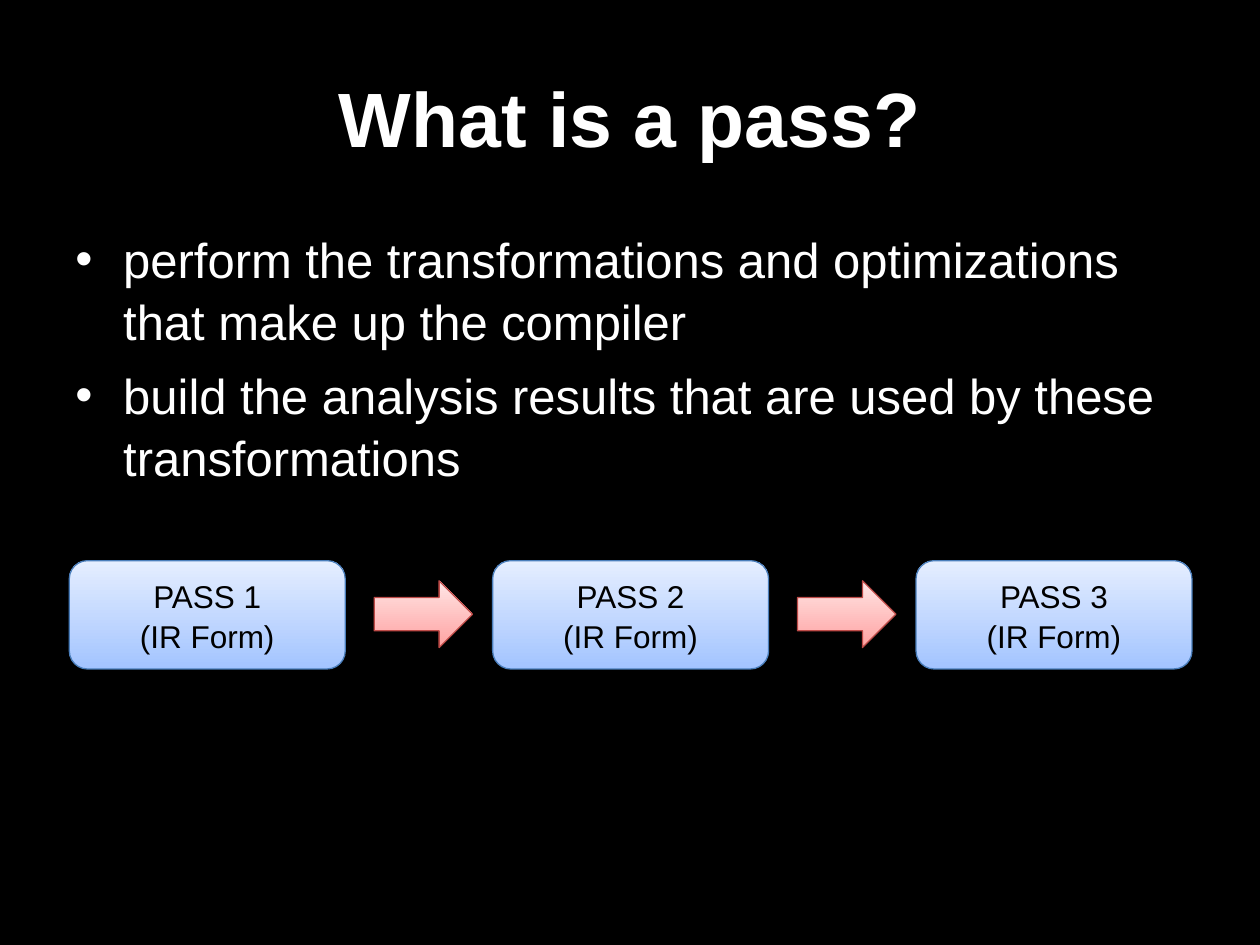
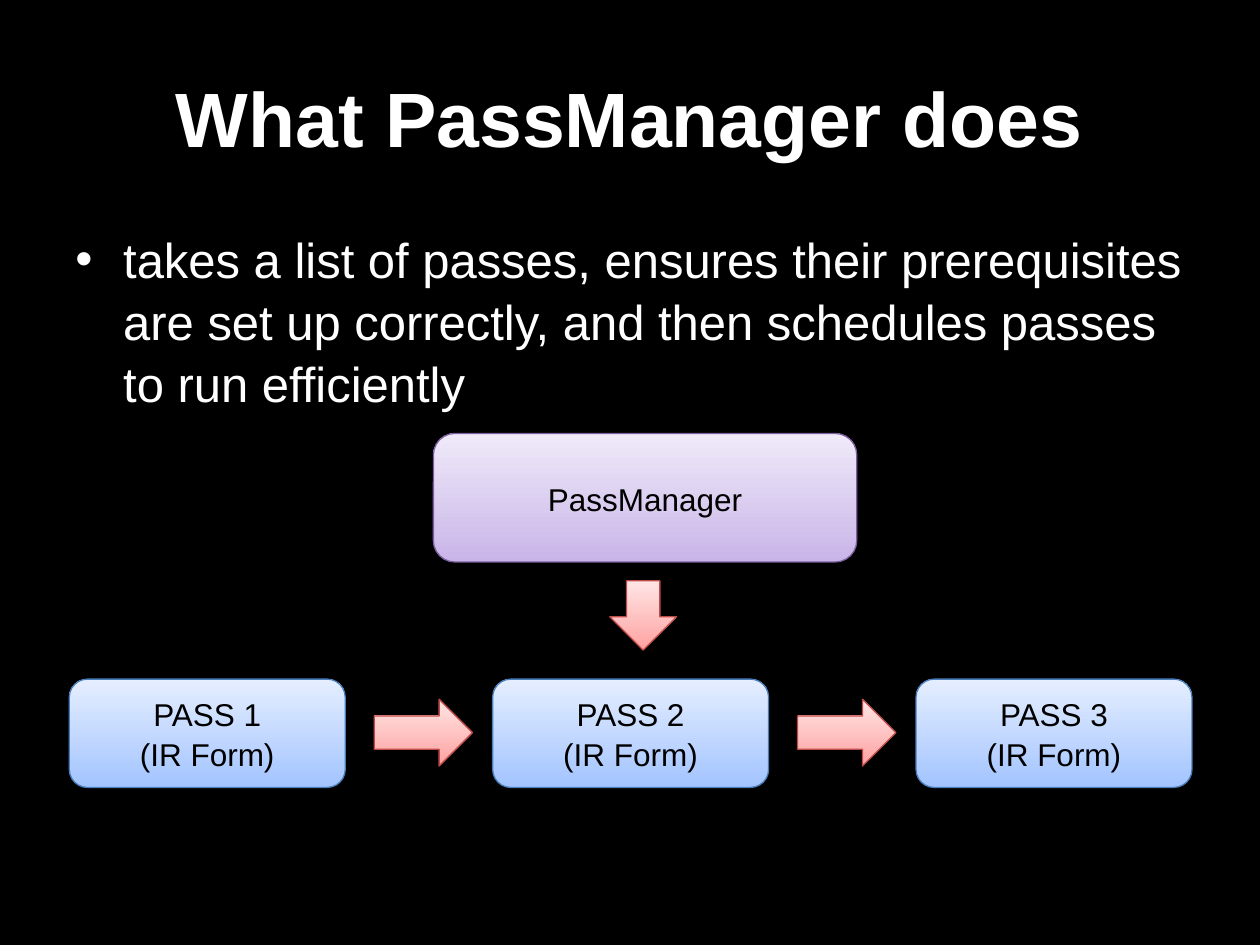
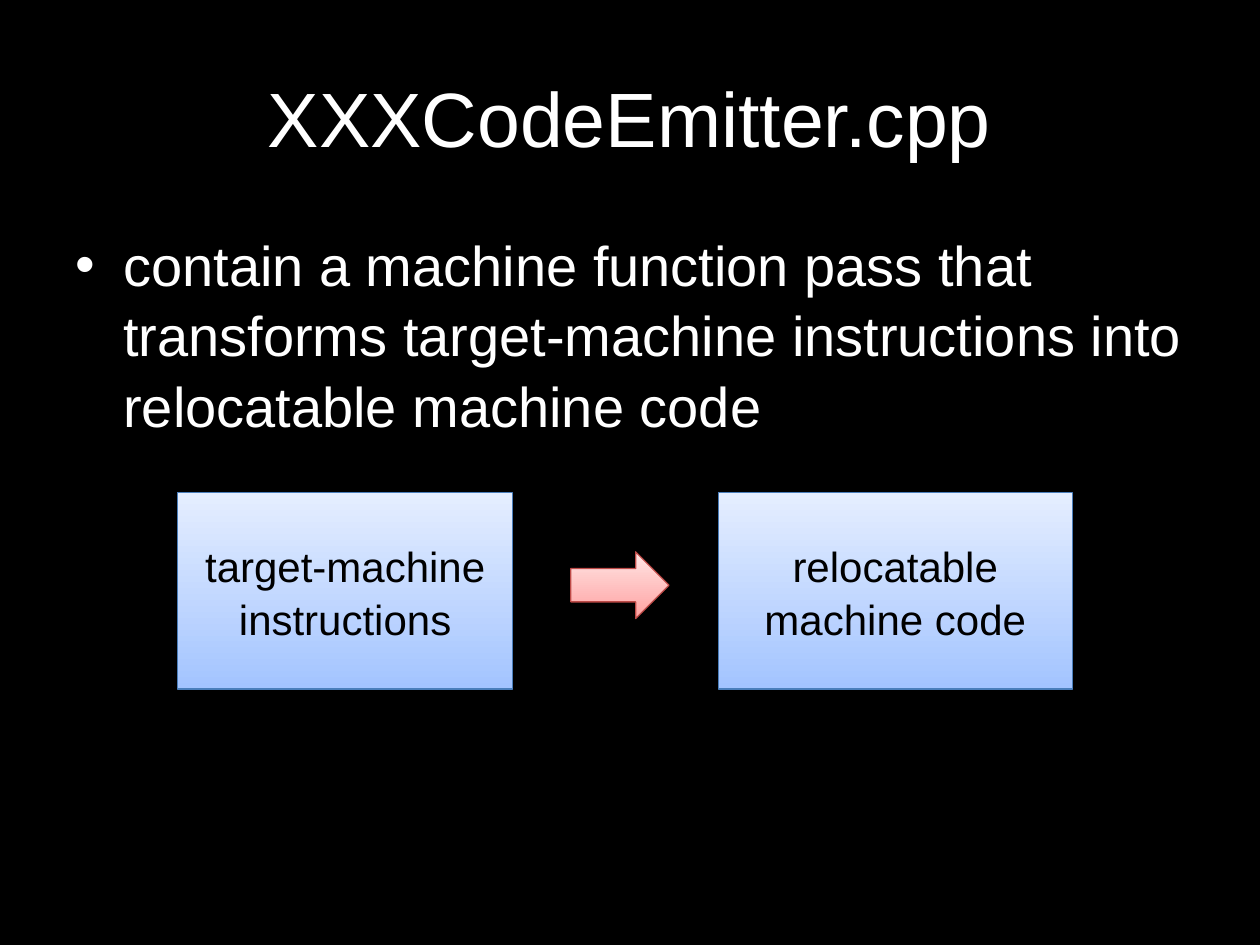
from lxml import etree
from pptx import Presentation
from pptx import util as u
from pptx.dml.color import RGBColor
from pptx.enum import shapes, text
from pptx.oxml import ns

BLACK = RGBColor(0x00, 0x00, 0x00)
WHITE = RGBColor(0xFF, 0xFF, 0xFF)
BLUE = (RGBColor(0xA3, 0xC4, 0xFF), RGBColor(0xE5, 0xEE, 0xFF), RGBColor(0x4A, 0x7E, 0xBB))
RED = (RGBColor(0xFF, 0xA2, 0xA1), RGBColor(0xFF, 0xE5, 0xE5), RGBColor(0xBE, 0x4B, 0x48))
PLUM = (RGBColor(0xC9, 0xB5, 0xE8), RGBColor(0xF0, 0xEA, 0xF9), RGBColor(0x7D, 0x60, 0xA0))
KIND = shapes.MSO_SHAPE
ALIGN = text.PP_ALIGN
MID = text.MSO_ANCHOR.MIDDLE
FONT = "Arial"
COLS, ROWS = 100, 75
INDENT = u.Inches(0.38)


class Deck:
    def __init__(self):
        self.prs = Presentation()
        self.prs.slide_width = u.Inches(10)
        self.prs.slide_height = u.Inches(7.5)
        self.col = self.prs.slide_width / COLS
        self.row = self.prs.slide_height / ROWS

    def place(self, x, y, w, h):
        return (round(x * self.col), round(y * self.row),
                round(w * self.col), round(h * self.row))

    def label(self, frame, words, size, color, align, bold=False, space=1.05):
        frame.word_wrap = True
        frame.text = words
        for para in frame.paragraphs:
            para.alignment = align
            para.line_spacing = space
            for run in para.runs:
                font = run.font
                font.name, font.size, font.bold = FONT, u.Pt(size), bold
                font.color.rgb = color

    def start(self, title, bold=True):
        self.slide = self.prs.slides.add_slide(self.prs.slide_layouts[6])
        fill = self.slide.background.fill
        fill.solid()
        fill.fore_color.rgb = BLACK
        frame = self.slide.shapes.add_textbox(*self.place(5, 3, 90, 12.5)).text_frame
        self.label(frame, title, 44, WHITE, ALIGN.CENTER, bold, 1.0)
        frame.vertical_anchor = MID

    def bullets(self, lines, size=28):
        frame = self.slide.shapes.add_textbox(*self.place(5, 17.5, 90, 49.5)).text_frame
        self.label(frame, "\n".join(lines), size, WHITE, ALIGN.LEFT)
        for i, para in enumerate(frame.paragraphs):
            if i:
                para.space_before = u.Pt(size / 4)
            props = para._p.get_or_add_pPr()
            props.set("marL", str(INDENT))
            props.set("indent", str(-INDENT))
            etree.SubElement(props, ns.qn("a:buFont")).set("typeface", FONT)
            etree.SubElement(props, ns.qn("a:buChar")).set("char", "•")

    def block(self, kind, x, y, w, h, tones, words="", size=18):
        shape = self.slide.shapes.add_shape(kind, *self.place(x, y, w, h))
        shape.shadow.inherit = False
        shape.fill.gradient()
        shape.fill.gradient_angle = 90
        for stop, tone in zip(shape.fill.gradient_stops, tones):
            stop.color.rgb = tone
        shape.line.color.rgb = tones[2]
        shape.line.width = u.Pt(0.75)
        if words:
            self.label(shape.text_frame, words, size, BLACK, ALIGN.CENTER)
            shape.text_frame.vertical_anchor = MID

    def arrow(self, x, y):
        self.block(KIND.RIGHT_ARROW, x, y, 7.8, 5.3, RED)

    def passes(self, y, count=3, step=33.6):
        for i in range(count):
            self.block(KIND.ROUNDED_RECTANGLE, 5.5 + i * step, y, 21.9, 8.6,
                       BLUE, f"PASS {i + 1}\n(IR Form)")
        for i in range(count - 1):
            self.arrow(29.7 + i * step, y + 1.6)


def main():
    deck = Deck()

    deck.start("What is a pass?")
    deck.bullets(["perform the transformations and optimizations that make up the compiler",
                  "build the analysis results that are used by these transformations"])
    deck.passes(44.5)

    deck.start("What PassManager does")
    deck.bullets(["takes a list of passes, ensures their prerequisites are set up "
                  "correctly, and then schedules passes to run efficiently"])
    deck.passes(53.9)
    deck.block(KIND.ROUNDED_RECTANGLE, 34.4, 34.4, 33.6, 10.2, PLUM, "PassManager")
    deck.block(KIND.DOWN_ARROW, 48.4, 46.1, 5.3, 5.5, RED)

    deck.start("XXXCodeEmitter.cpp", bold=False)
    deck.bullets(["contain a machine function pass that transforms target-machine "
                  "instructions into relocatable machine code"], 32)
    for x, w, words in ((14.1, 26.6, "target-machine instructions"),
                        (57, 28.1, "relocatable machine code")):
        deck.block(KIND.RECTANGLE, x, 39.1, w, 15.6, BLUE, words, 24)
    deck.arrow(45.3, 43.8)

    deck.prs.save("out.pptx")


if __name__ == "__main__":
    main()
